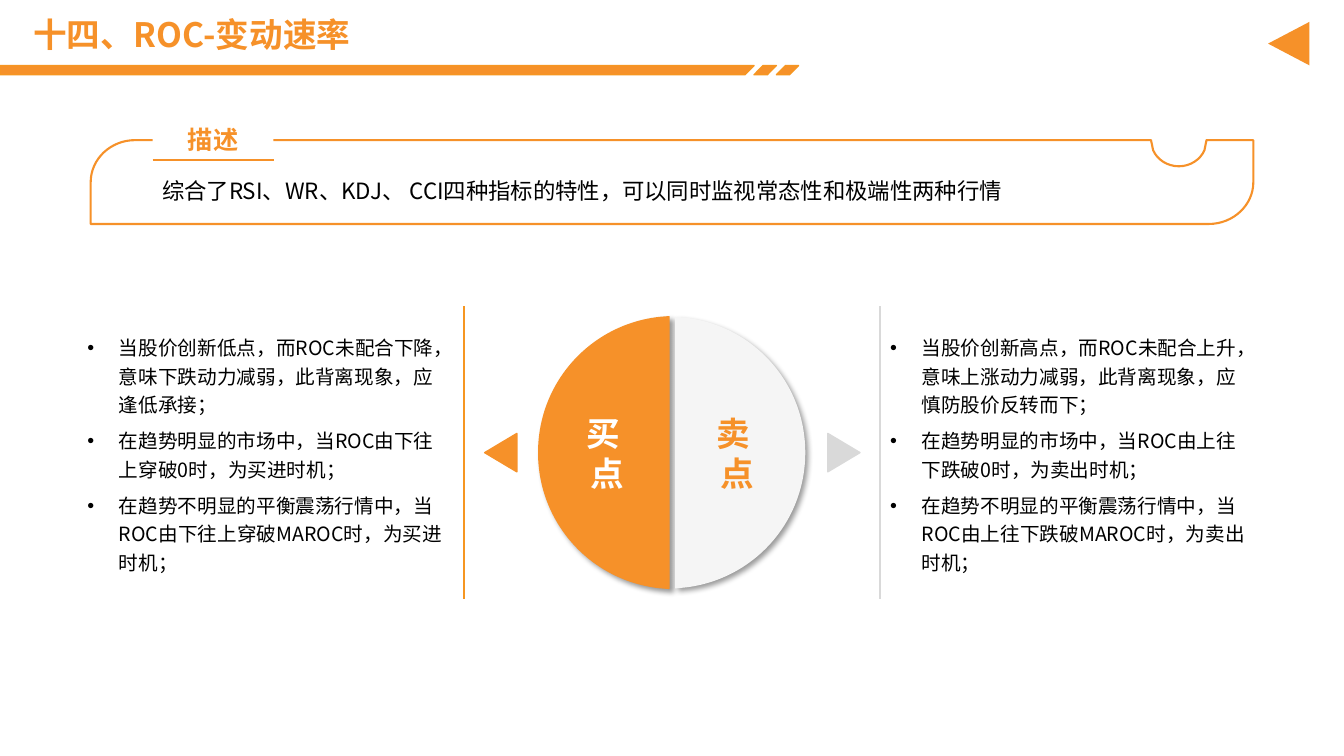
import pptx
import pptx.util
import pptx.dml.color
import pptx.enum.shapes
import pptx.enum.text
import pptx.oxml.ns
from lxml import etree

FONT = "Noto Sans CJK SC"
ORANGE, EDGE, GRAY, PALE = "F69129", "F69621", "D9D9D9", "F5F5F5"
BLACK, WHITE = "000000", "FFFFFF"

TITLE = "十四、ROC-变动速率"
LABEL = "描述"
ABOUT = "综合了RSI、WR、KDJ、 CCI四种指标的特性，可以同时监视常态性和极端性两种行情"
BUY = [
    "当股价创新低点，而ROC未配合下降，意味下跌动力减弱，此背离现象，应逢低承接；",
    "在趋势明显的市场中，当ROC由下往上穿破0时，为买进时机；",
    "在趋势不明显的平衡震荡行情中，当ROC由下往上穿破MAROC时，为买进时机；",
]
SELL = [
    "当股价创新高点，而ROC未配合上升，意味上涨动力减弱，此背离现象，应慎防股价反转而下；",
    "在趋势明显的市场中，当ROC由上往下跌破0时，为卖出时机；",
    "在趋势不明显的平衡震荡行情中，当ROC由上往下跌破MAROC时，为卖出时机；",
]
# side, cut, fill, edge, word, word left, word colour, list, list left, arrow left, arrow colour, rule, rule colour
SIDES = [
    (-1, 477.8, ORANGE, ORANGE, ["买 ", "点"], 390.6, WHITE, BUY, 55.4, 344, ORANGE, 331.6, EDGE),
    (1, 482.2, PALE, None, ["卖 ", "点"], 483.5, ORANGE, SELL, 628.7, 589.1, GRAY, 628.6, GRAY),
]
MID = 323.3

Pt = pptx.util.Pt
qn = pptx.oxml.ns.qn
MIDDLE = pptx.enum.text.MSO_ANCHOR.MIDDLE
CENTER = pptx.enum.text.PP_ALIGN.CENTER
KIND = pptx.enum.shapes.MSO_SHAPE

deck = pptx.Presentation()
deck.slide_width, deck.slide_height = Pt(960), Pt(540)
shapes = deck.slides.add_slide(deck.slide_layouts[6]).shapes


def color(code):
    return pptx.dml.color.RGBColor.from_string(code)


def paint(shape, fill=None, edge=None, width=1):
    shape.shadow.inherit = False
    if fill:
        shape.fill.solid()
        shape.fill.fore_color.rgb = color(fill)
    else:
        shape.fill.background()
    if edge:
        shape.line.color.rgb = color(edge)
        shape.line.width = Pt(width)
    else:
        shape.line.fill.background()


def write(shape, lines, size, tint, bold=False, align=None, bullet=False, space=None, foot=3.6):
    frame = shape.text_frame
    frame.word_wrap = True
    frame.vertical_anchor = MIDDLE
    frame.margin_bottom = Pt(foot)
    for i, line in enumerate(lines):
        para = frame.paragraphs[0] if i == 0 else frame.add_paragraph()
        para.alignment = align
        para.line_spacing = space
        if bullet:
            para.space_after = Pt(6)
            props = para._p.get_or_add_pPr()
            props.set("marL", str(Pt(22.5)))
            props.set("indent", str(-Pt(22.5)))
            etree.SubElement(props, qn("a:buFont")).set("typeface", "Arial")
            etree.SubElement(props, qn("a:buChar")).set("char", "•")
        run = para.add_run()
        run.text = line
        font = run.font
        font.name, font.size, font.bold = FONT, Pt(size), bold
        font.color.rgb = color(tint)
        etree.SubElement(run._r.get_or_add_rPr(), qn("a:ea")).set("typeface", FONT)


def text(box, *args, **opts):
    write(shapes.add_textbox(*map(Pt, box)), *args, **opts)


def outline(start, *steps):
    """Closed outline; a step of one point is a line, a step of three is a curve."""
    dots = [(Pt(x), Pt(y)) for step in steps for x, y in step]
    build = shapes.build_freeform(Pt(start[0]), Pt(start[1]), scale=1)
    build.add_line_segments(dots, close=True)
    shape = build.convert_to_shape()
    lines = iter(list(shape._element.iter(qn("a:lnTo"))))
    for step in steps:
        first, *rest = [next(lines) for dot in step]
        if rest:
            first.tag = qn("a:cubicBezTo")
            for line in rest:
                first.append(line[0])
                line.getparent().remove(line)
    return shape


def rule(x1, y1, x2, y2, tint):
    line = shapes.add_connector(pptx.enum.shapes.MSO_CONNECTOR.STRAIGHT, *map(Pt, (x1, y1, x2, y2)))
    line.line.color.rgb = color(tint)
    line.line.width = Pt(1.5)
    etree.SubElement(line._element.spPr, qn("a:effectLst"))


def arrow(box, turn, fill, edge=None):
    shape = shapes.add_shape(KIND.ISOSCELES_TRIANGLE, *map(Pt, box))
    shape.rotation = turn
    paint(shape, fill, edge)


def cast(shape):
    """Give the shape a soft shadow to the lower right."""
    glow = shape._element.spPr.find(qn("a:effectLst"))
    shade = etree.SubElement(glow, qn("a:outerShdw"), blurRad=str(Pt(4)), dist=str(Pt(3)),
                             dir="2700000", algn="tl", rotWithShape="0")
    tone = etree.SubElement(shade, qn("a:srgbClr"), val=BLACK)
    etree.SubElement(tone, qn("a:alpha"), val="40000")


# Header
top, base, slant = 46.8, 53.4, 6.5
bars = [(0, 0, 538.6), (538.6, slant, 554.6), (554.6, slant, 570.4)]
for left, lean, right in bars:
    bar = outline((left + lean, top), [(right, top)], [(right - slant, base)], [(left, base)])
    paint(bar, ORANGE, EDGE)
text((16.6, 10.8, 877.7, 31), [TITLE], 24, ORANGE, bold=True, space=0.9)
arrow((905, 16.4, 31, 29.5), 270, ORANGE)

# Description
text((108.7, 124.9, 771.8, 24.5), [ABOUT], 16, BLACK, foot=5.8)
left, top, right, base = 64.8, 100.1, 895.3, 160
frame = outline(
    (96.5, top), [(822.2, top)], [(823.7, 107.3)],
    [(826.6, 114), (833.8, 118.8), (842.1, 118.8)],
    [(850.3, 118.8), (857.5, 114), (860.4, 107.3)],
    [(861.8, top)], [(right, top)], [(right, 130.2)],
    [(right, 146.6), (880.9, base), (863.4, base)],
    [(left, base)], [(left, 130.2)],
    [(left, 113.5), (79.2, top), (96.5, top)],
)
paint(frame, edge=ORANGE, width=1.5)
label = shapes.add_shape(KIND.RECTANGLE, *map(Pt, (109, 83.8, 86.4, 31)))
paint(label, WHITE)
write(label, [LABEL], 18, ORANGE, bold=True, align=CENTER)
rule(109, 114.5, 195.4, 114.5, ORANGE)

# Buy and sell halves
for side, cut, fill, edge, word, wordx, tint, items, listx, tipx, tipfill, barx, barfill in SIDES:
    near, far, rim = (cut + side * gap for gap in (6.1, 55.1, 93))
    half = outline(
        (cut, MID - 97), [(cut, MID + 97)], [(near, MID + 96.5)],
        [(far, MID + 91.4), (rim, MID + 50.4), (rim, MID)],
        [(rim, MID - 50.4), (far, MID - 91.4), (near, MID - 96.5)],
    )
    paint(half, fill, edge)
    cast(half)
    text((wordx, 287.1, 86.4, 72.7), word, 24, tint, bold=True, align=CENTER)
    text((listx, 216.9, 274.8, 213.1), items, 14, BLACK, bullet=True, space=1.2)
    arrow((tipx, 311.8, 27.4, 23), side * 90 % 360, tipfill, tipfill)
    rule(barx, 218.9, barx, 427.7, barfill)

deck.save("out.pptx")
